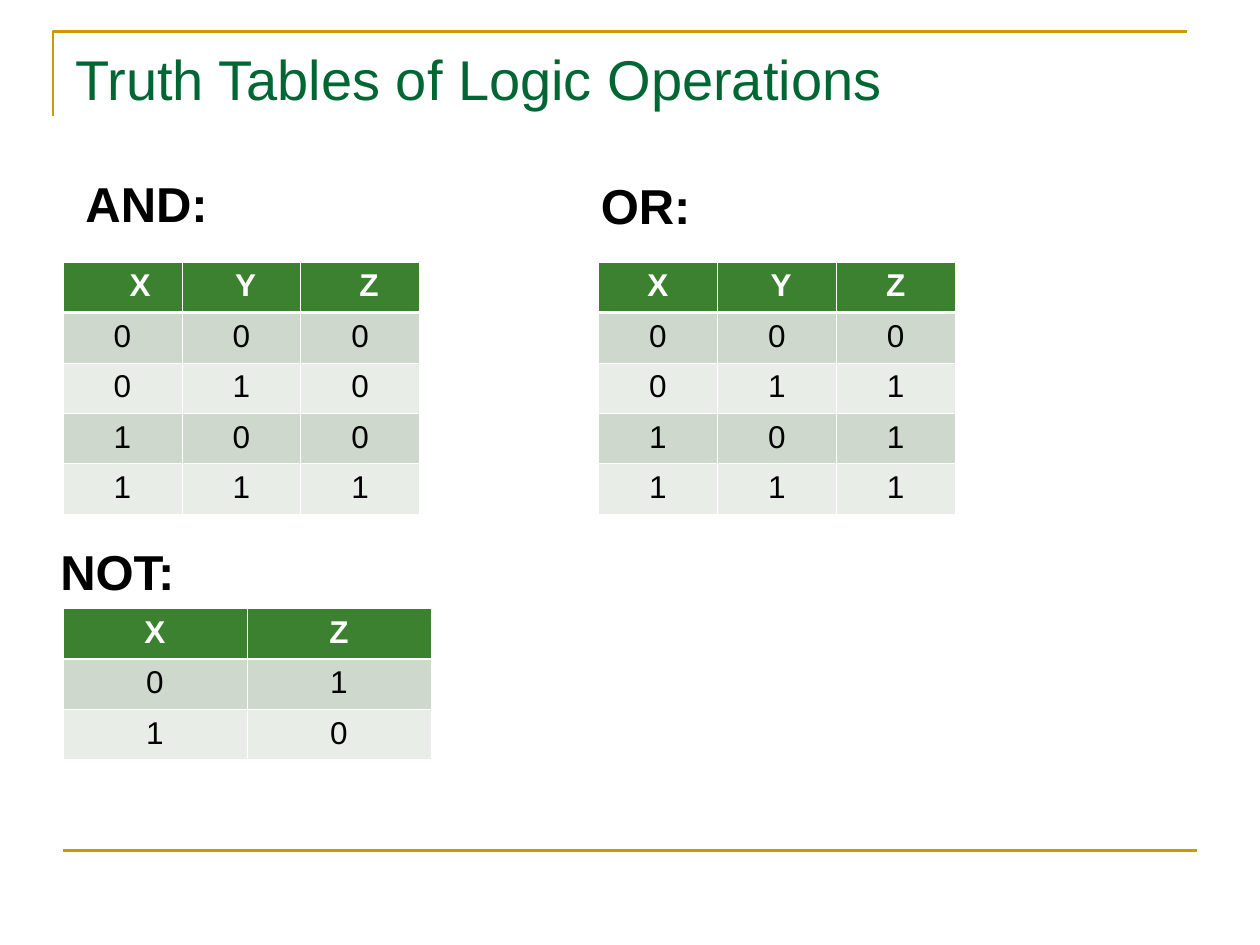
from lxml import etree
from pptx import Presentation
from pptx.dml.color import RGBColor
from pptx.enum.shapes import MSO_CONNECTOR
from pptx.enum.text import MSO_AUTO_SIZE, PP_ALIGN
from pptx.oxml.ns import qn
from pptx.util import Inches, Pt

COLORS = {
    "gold": "CC9900",
    "title": "006633",
    "header": "3B812F",
    "band_dark": "CED8CD",
    "band_light": "E8EDE8",
    "white": "FFFFFF",
    "black": "000000",
}
FONT = "Arial"
ROW_H = 0.4
CELL_INSET = 0.1
THIN, THICK = Pt(0.45), Pt(1.47)

AND_ROWS = ["000", "010", "100", "111"]
OR_ROWS = ["000", "011", "101", "111"]
NOT_ROWS = ["01", "10"]


def rgb(name):
    return RGBColor.from_string(COLORS[name])


def style(p, size, color, bold=False):
    p.font.name = FONT
    p.font.size = Pt(size)
    p.font.bold = bold
    p.font.color.rgb = rgb(color)


def add_frame(s, x, y, w, h):
    """Draw the corner bracket at the top and the rule at the bottom."""
    builder = s.shapes.build_freeform(Inches(x), Inches(y + h))
    builder.add_line_segments(
        [(Inches(x), Inches(y)), (Inches(x + w), Inches(y))], close=False)
    bracket = builder.convert_to_shape()
    bracket.shadow.inherit = False
    bracket.fill.background()

    rule_x, rule_y = Inches(x + 0.08), Inches(y + 6.5)
    rule = s.shapes.add_connector(
        MSO_CONNECTOR.STRAIGHT, rule_x, rule_y, rule_x + Inches(w), rule_y)
    etree.SubElement(rule._element.spPr, qn("a:effectLst"))

    for line in (bracket.line, rule.line):
        line.color.rgb = rgb("gold")
        line.width = Pt(1.5)


def add_text(s, text, x, y, w, h, size, color, bold=False):
    box = s.shapes.add_textbox(Inches(x), Inches(y), Inches(w), Inches(h))
    tf = box.text_frame
    tf.word_wrap = True
    tf.auto_size = MSO_AUTO_SIZE.NONE
    p = tf.paragraphs[0]
    p.text = text
    style(p, size, color, bold)


def set_borders(cell, top, bottom):
    tc_pr = cell._tc.get_or_add_tcPr()
    for side, width in (("L", THIN), ("R", THIN), ("T", top), ("B", bottom)):
        ln = etree.SubElement(tc_pr, qn(f"a:ln{side}"), w=str(int(width)))
        fill = etree.SubElement(ln, qn("a:solidFill"))
        etree.SubElement(fill, qn("a:srgbClr"), val=COLORS["white"])


def add_truth_table(s, x, y, w, header, rows, shifts):
    """Shifts are the extra left insets of the header cells, in inches."""
    grid = [header, *rows]
    table = s.shapes.add_table(
        len(grid), len(header), Inches(x), Inches(y),
        Inches(w), Inches(ROW_H * len(grid))).table
    for col in table.columns:
        col.width = Inches(w / len(header))
    for i, values in enumerate(grid):
        table.rows[i].height = Inches(ROW_H)
        is_header = i == 0
        band = "header" if is_header else "band_dark" if i % 2 else "band_light"
        for j, value in enumerate(values):
            cell = table.cell(i, j)
            set_borders(cell, THICK if i == 1 else THIN,
                        THICK if is_header else THIN)
            cell.fill.solid()
            cell.fill.fore_color.rgb = rgb(band)
            if is_header:
                cell.margin_left = Inches(CELL_INSET + shifts[j])
            p = cell.text_frame.paragraphs[0]
            p.text = value
            p.alignment = PP_ALIGN.CENTER
            style(p, 18, "white" if is_header else "black", is_header)


def add_label(s, text, x, y):
    add_text(s, text, x, y, 1.29, 0.57, 28, "black", bold=True)


def main():
    prs = Presentation()
    prs.slide_width, prs.slide_height = Inches(10), Inches(7.5)
    s = prs.slides.add_slide(prs.slide_layouts[6])

    add_frame(s, 0.42, 0.25, 9, 0.67)
    add_text(s, "Truth Tables of Logic Operations",
             0.5, 0.3, 9, 1.25, 32, "title")

    add_truth_table(s, 0.5, 2.08, 2.83, "XYZ", AND_ROWS, (0.28, 0.07, 0.14))
    add_truth_table(s, 4.75, 2.08, 2.83, "XYZ", OR_ROWS, (0, 0.07, 0))
    add_truth_table(s, 0.5, 4.83, 2.92, "XZ", NOT_ROWS, (0, 0))

    add_label(s, "AND:", 0.58, 1.33)
    add_label(s, "OR:", 4.67, 1.34)
    add_label(s, "NOT:", 0.38, 4.25)

    prs.save("out.pptx")


if __name__ == "__main__":
    main()
